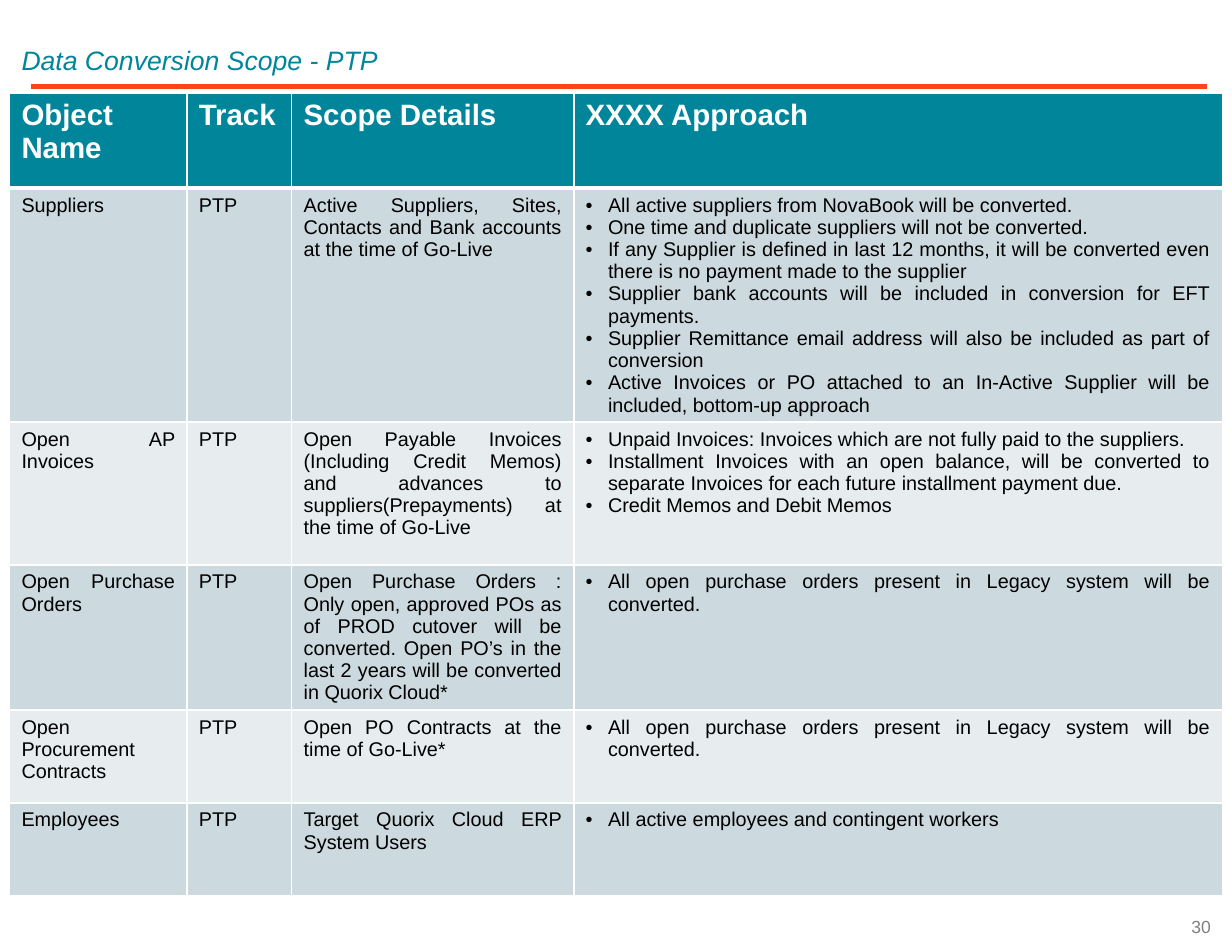
"""Build the data conversion scope slide for the PTP track."""
from lxml.etree import SubElement as Sub
from pptx import Presentation as Deck
from pptx.dml.color import RGBColor as RGB
from pptx.enum.shapes import MSO_CONNECTOR as LINK
from pptx.enum.text import MSO_ANCHOR as ANCHOR, PP_ALIGN as ALIGN
from pptx.oxml.ns import qn
from pptx.util import Pt

TEAL = RGB(0x00, 0x85, 0x9B)
RED = RGB(0xFA, 0x46, 0x16)
GRAY = RGB(0x80, 0x80, 0x80)
DARK = RGB(0xCC, 0xD9, 0xDE)
LIGHT = RGB(0xE7, 0xED, 0xEF)
WHITE = RGB(0xFF, 0xFF, 0xFF)
BLACK = RGB(0x00, 0x00, 0x00)

TITLE = {"name": "Arial", "size": Pt(16.1), "italic": True, "bold": False}
HEAD = {"name": "Arial", "size": Pt(17.8), "bold": True}
BODY = {"name": "Arial", "size": Pt(12), "bold": False}
PAGE = {"name": "Arial", "size": Pt(10.6)}

COLS = [107.3, 63.4, 170.6, 392.4]
TALL = [57.6, 86.4, 86.4, 56.2, 56.2, 56.2]
NAMES = ["Object Name", "Track", "Scope Details", "XXXX Approach"]
ITEMS = [
    ("Suppliers",
     "Active Suppliers, Sites, Contacts and Bank accounts at the time of Go-Live",
     ["All active suppliers from NovaBook will be converted.",
      "One time and duplicate suppliers will not be converted.",
      "If any Supplier is defined in last 12 months, it will be converted even "
      "there is no payment made to the supplier",
      "Supplier bank accounts will be included in conversion for EFT payments.",
      "Supplier Remittance email address will also be included as part of conversion",
      "Active Invoices or PO attached to an In-Active Supplier will be included, "
      "bottom-up approach"]),
    ("Open AP Invoices",
     "Open Payable Invoices (Including Credit Memos) and advances to "
     "suppliers(Prepayments) at the time of Go-Live",
     ["Unpaid Invoices: Invoices which are not fully paid to the suppliers.",
      "Installment Invoices with an open balance, will be converted to separate "
      "Invoices for each future installment payment due.",
      "Credit Memos and Debit Memos"]),
    ("Open Purchase Orders",
     "Open Purchase Orders : Only open, approved POs as of PROD cutover will be "
     "converted. Open PO’s in the last 2 years will be converted in Quorix Cloud*",
     ["All open purchase orders present in Legacy system will be converted."]),
    ("Open Procurement Contracts",
     "Open PO Contracts at the time of Go-Live*",
     ["All open purchase orders present in Legacy system will be converted."]),
    ("Employees",
     "Target Quorix Cloud ERP System Users",
     ["All active employees and contingent workers"]),
]


def style(frame, fmt, color, align):
    for para in frame.paragraphs:
        para.alignment = align
        for run in para.runs:
            for key, value in fmt.items():
                setattr(run.font, key, value)
            run.font.color.rgb = color


def edge(cell, sides):
    props = cell._tc.get_or_add_tcPr()
    for side, width in sides.items():
        line = Sub(props, qn(f"a:ln{side}"), w=str(Pt(width)))
        Sub(Sub(line, qn("a:solidFill")), qn("a:srgbClr"), val=str(WHITE))


deck = Deck()
deck.slide_width, deck.slide_height = Pt(745.2), Pt(576)
slide = deck.slides.add_slide(deck.slide_layouts[5])
shapes = slide.shapes

title = shapes.title
title.left, title.top, title.width, title.height = Pt(5.8), Pt(18.7), Pt(711.4), Pt(31.7)
title.text_frame.text = "Data Conversion Scope - PTP"
title.text_frame.vertical_anchor = ANCHOR.MIDDLE
title.text_frame.paragraphs[0].line_spacing = 1.2
style(title.text_frame, TITLE, TEAL, ALIGN.LEFT)

rule = shapes.add_connector(LINK.STRAIGHT, Pt(18.7), Pt(52.6), Pt(730.1), Pt(52.6))
rule.line.color.rgb = RED
rule.line.width = Pt(3)
Sub(rule._element.spPr, qn("a:effectLst"))

table = shapes.add_table(len(TALL), len(COLS), Pt(5.8), Pt(56.2),
                         Pt(sum(COLS)), Pt(sum(TALL))).table
for col, width in zip(table.columns, COLS):
    col.width = Pt(width)
for row, height in zip(table.rows, TALL):
    row.height = Pt(height)

texts = [NAMES] + [[name, "PTP", scope, "\n".join(points)] for name, scope, points in ITEMS]
for i, line in enumerate(texts):
    for j, text in enumerate(line):
        cell = table.cell(i, j)
        cell.text = text
        edge(cell, {"L": 1, "R": 1, "T": 3 if i == 1 else 1, "B": 3 if i == 0 else 1})
        cell.fill.solid()
        if i == 0:
            cell.fill.fore_color.rgb = TEAL
            style(cell.text_frame, HEAD, WHITE, ALIGN.LEFT)
            continue
        cell.fill.fore_color.rgb = DARK if i % 2 else LIGHT
        if j == 3:
            for para in cell.text_frame.paragraphs:
                props = para._p.get_or_add_pPr()
                props.set("marL", str(Pt(13.5)))
                props.set("indent", str(-Pt(13.5)))
                Sub(props, qn("a:buFont"), typeface="Arial")
                Sub(props, qn("a:buChar"), char="•")
        style(cell.text_frame, BODY, BLACK, ALIGN.JUSTIFY)
table.cell(1, 3).vertical_anchor = ANCHOR.MIDDLE

page = shapes.add_textbox(Pt(571.7), Pt(545), Pt(167.8), Pt(31)).text_frame
page.word_wrap = True
page.vertical_anchor = ANCHOR.MIDDLE
page.text = "30"
style(page, PAGE, GRAY, ALIGN.RIGHT)

deck.save("out.pptx")
